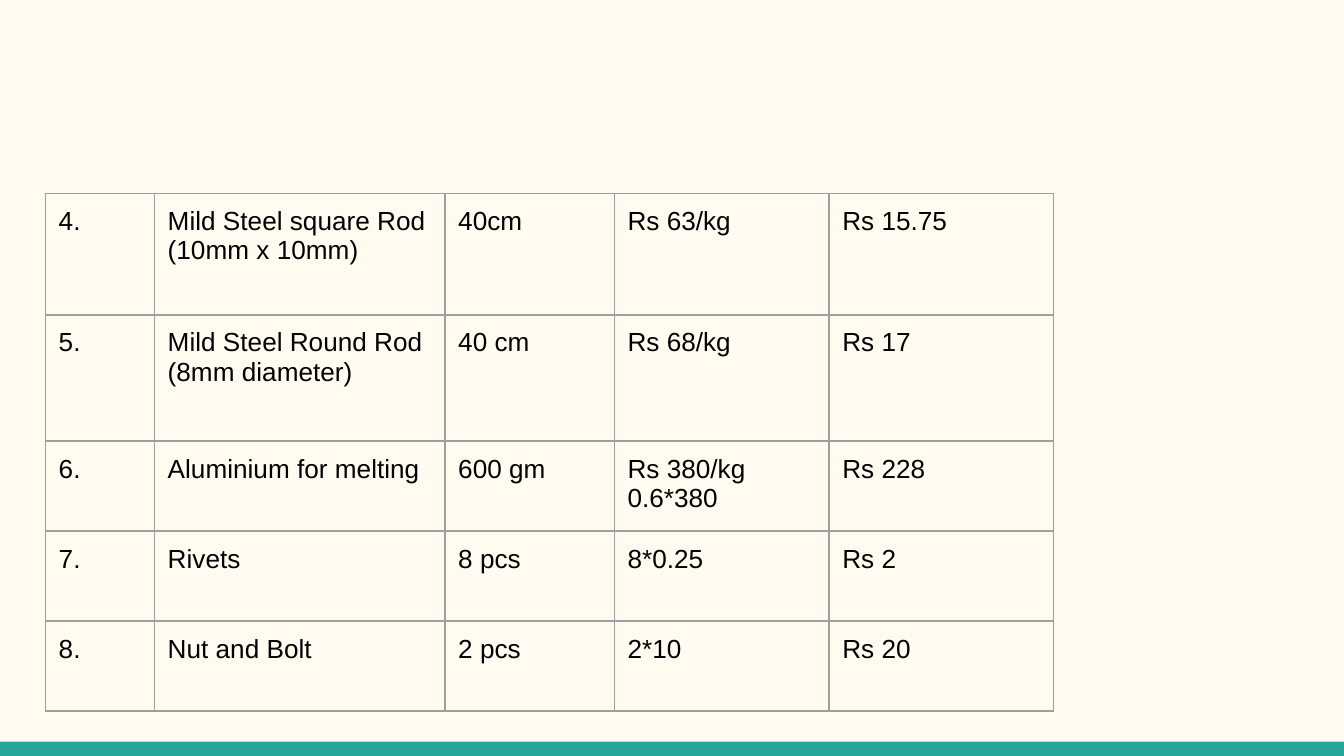
"""Build a slide with a table of material costs above a teal footer bar."""
from dataclasses import astuple, dataclass

from lxml.etree import SubElement
from pptx import Presentation
from pptx.dml.color import RGBColor
from pptx.enum.shapes import MSO_SHAPE as Shape
from pptx.oxml.ns import qn
from pptx.util import Cm, Pt

BACKGROUND, TEAL, GREY, BLACK = "FFFBF0", "26A69A", "9E9E9E", "000000"
WIDTH, HEIGHT, BAR_HEIGHT = 25.4, 14.29, 0.27
COLUMN_WIDTHS = (2.06, 5.49, 3.2, 4.06, 4.24)
ROW_HEIGHTS = (2.29, 2.39, 1.7, 1.7, 1.7)


@dataclass
class Material:
    number: str
    name: str
    quantity: str
    rate: str
    cost: str


MATERIALS = (
    Material("4.", "Mild Steel square Rod (10mm x 10mm)", "40cm", "Rs 63/kg", "Rs 15.75"),
    Material("5.", "Mild Steel Round Rod (8mm diameter)", "40 cm", "Rs 68/kg", "Rs 17"),
    Material("6.", "Aluminium for melting", "600 gm", "Rs 380/kg\n0.6*380", "Rs 228"),
    Material("7.", "Rivets", "8 pcs", "8*0.25", "Rs 2"),
    Material("8.", "Nut and Bolt", "2 pcs", "2*10", "Rs 20"),
)


def paint(fill, color: str) -> None:
    fill.solid()
    fill.fore_color.rgb = RGBColor.from_string(color)


def add_borders(cell, color: str, width: int) -> None:
    properties = cell._tc.get_or_add_tcPr()
    for index, side in enumerate(("a:lnL", "a:lnR", "a:lnT", "a:lnB")):
        line = SubElement(properties, qn(side), w=str(width))
        fill = SubElement(line, qn("a:solidFill"))
        SubElement(fill, qn("a:srgbClr"), val=color)
        properties.insert(index, line)


def fill_cell(cell, text: str) -> None:
    cell.text = text
    cell.margin_left = cell.margin_right = Cm(0.25)
    cell.margin_top = cell.margin_bottom = Cm(0.25)
    cell.fill.background()
    for paragraph in cell.text_frame.paragraphs:
        paragraph.font.name = "Arial"
        paragraph.font.size = Pt(14)
        paint(paragraph.font.fill, BLACK)
    add_borders(cell, GREY, Pt(1))


def add_footer_bar(slide) -> None:
    bar = slide.shapes.add_shape(
        Shape.RECTANGLE, 0, Cm(HEIGHT - BAR_HEIGHT), Cm(WIDTH), Cm(BAR_HEIGHT))
    bar.shadow.inherit = False
    bar.line.fill.background()
    paint(bar.fill, TEAL)


def add_material_table(slide, materials: tuple[Material, ...]) -> None:
    table = slide.shapes.add_table(
        len(materials), len(COLUMN_WIDTHS), Cm(0.86), Cm(3.66),
        Cm(sum(COLUMN_WIDTHS)), Cm(sum(ROW_HEIGHTS))).table
    table.first_row = table.horz_banding = False
    for column, width in zip(table.columns, COLUMN_WIDTHS):
        column.width = Cm(width)
    for row, height, material in zip(table.rows, ROW_HEIGHTS, materials):
        row.height = Cm(height)
        for cell, text in zip(row.cells, astuple(material)):
            fill_cell(cell, text)


def main() -> None:
    presentation = Presentation()
    presentation.slide_width, presentation.slide_height = Cm(WIDTH), Cm(HEIGHT)
    slide = presentation.slides.add_slide(presentation.slide_layouts[6])
    paint(slide.background.fill, BACKGROUND)
    add_footer_bar(slide)
    add_material_table(slide, MATERIALS)
    presentation.save("out.pptx")


if __name__ == "__main__":
    main()
